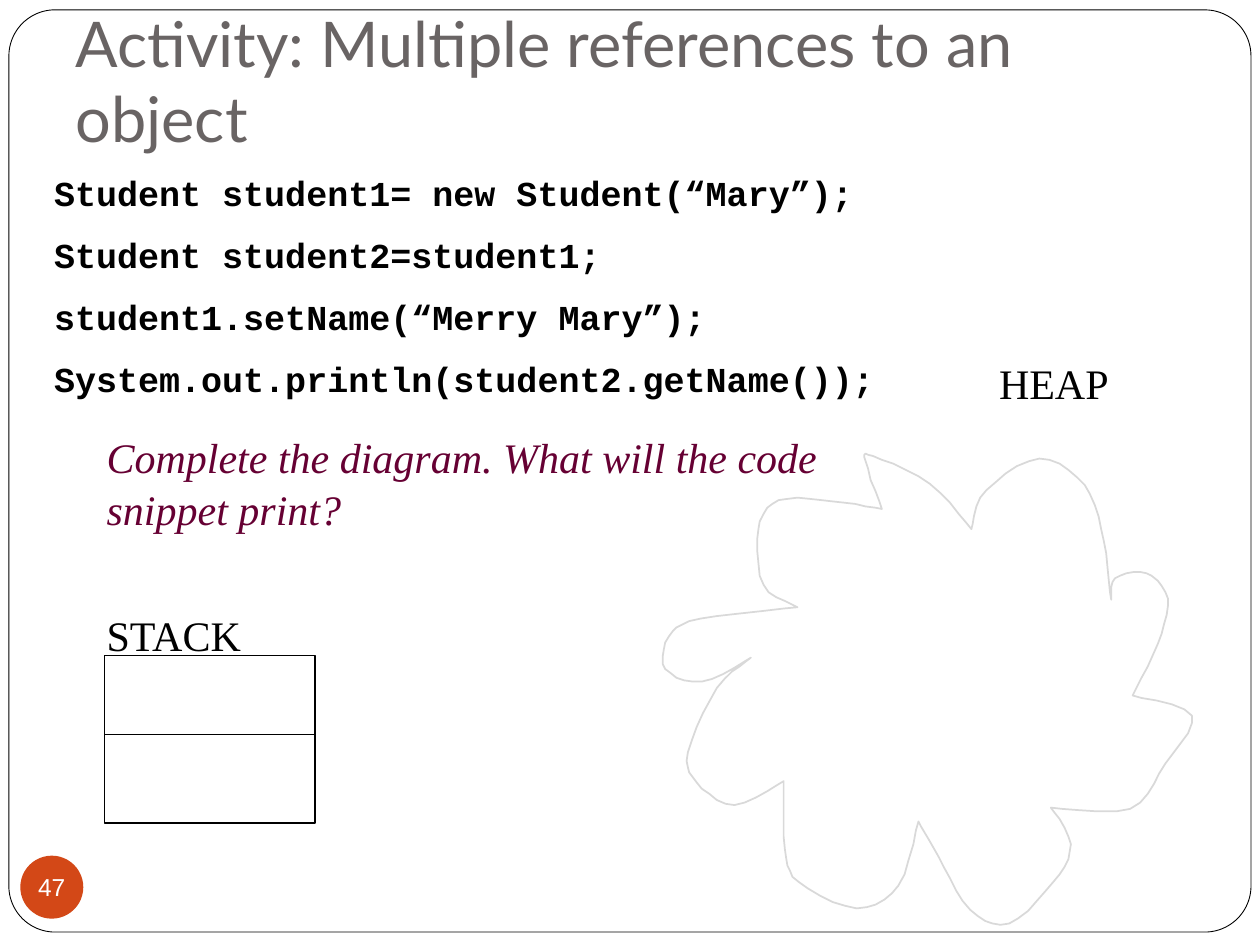
"""Build the slide on multiple references to one object, with its stack and heap diagram."""
from lxml import etree
from pptx import Presentation
from pptx import util as u
from pptx.dml.color import RGBColor
from pptx.enum import shapes, text
from pptx.oxml.ns import qn

BLACK = RGBColor(0x00, 0x00, 0x00)
WHITE = RGBColor(0xFF, 0xFF, 0xFF)
GREY = RGBColor(0x69, 0x64, 0x64)
PALE = RGBColor(0xD9, 0xD9, 0xD9)
ORANGE = RGBColor(0xD3, 0x48, 0x17)
PLUM = RGBColor(0x66, 0x00, 0x33)
SERIF = "Times New Roman"

TITLE = "Activity: Multiple references to an object"
CODE = [
    "Student student1= new Student(“Mary”);",
    "Student student2=student1;",
    "student1.setName(“Merry Mary”);",
    "System.out.println(student2.getName());",
]
PROMPT = "Complete the diagram. What will the code snippet print?"
LABELS = [("STACK", (1.9, 12.17, 3.3, 1.27)), ("HEAP", (19.89, 7.09, 2.74, 1.27))]
PAGE = "47"
STACK_BOX = (2.11, 13.21, 4.24, 3.38)
STACK_SPLIT = 14.81
HEAP_UNIT = 0.0254
HEAP_STEPS = 5
HEAP_PETALS = [
    [(596, 522), (569, 546), (546, 597), (553, 621), (583, 639)],
    [(622, 620), (623, 674), (634, 700), (680, 721), (713, 703)],
    [(729, 652), (745, 680), (770, 722), (801, 733), (836, 700), (850, 670)],
    [(834, 641), (897, 642), (925, 606), (946, 568)],
    [(899, 552), (919, 511), (927, 475), (910, 455), (885, 459)],
    [(882, 476), (876, 429), (861, 385), (825, 364), (783, 389)],
    [(771, 420), (738, 384), (693, 362), (687, 366)],
    [(700, 404), (661, 398), (618, 397), (602, 420), (606, 464)],
    [(633, 482), (556, 491), (531, 505), (528, 531), (557, 541)],
]


def cm(values):
    return [u.Cm(v) for v in values]


def spline(a, b, c, d, t):
    return (2 * b + (c - a) * t + (2 * a - 5 * b + 4 * c - d) * t ** 2
            + (3 * b - a - 3 * c + d) * t ** 3) / 2


def heap_points():
    points = []
    for petal, following in zip(HEAP_PETALS, HEAP_PETALS[1:] + HEAP_PETALS[:1]):
        tip = following[0]
        knots = [petal[0], *petal, tip, tip]
        for i in range(len(petal)):
            for step in range(HEAP_STEPS):
                t = step / HEAP_STEPS
                points.append(tuple(spline(*axis, t) for axis in zip(*knots[i:i + 4])))
    return points


def style(sp, fill=None, line=None, width=0.75):
    sp.shadow.inherit = False
    if fill is None:
        sp.fill.background()
    else:
        sp.fill.solid()
        sp.fill.fore_color.rgb = fill
    if line is None:
        sp.line.fill.background()
    else:
        sp.line.color.rgb = line
        sp.line.width = u.Pt(width)


def write(sp, lines, font, size, color, bold=False, italic=False, wrap=True):
    tf = sp.text_frame
    tf.text = "\n".join(lines)
    tf.word_wrap = wrap
    tf.auto_size = text.MSO_AUTO_SIZE.NONE
    for p in tf.paragraphs:
        for r in p.runs:
            f = r.font
            f.name, f.size, f.bold, f.italic = font, u.Pt(size), bold, italic
            f.color.rgb = color
    return tf


def add_text(s, at, *args, **kwargs):
    return write(s.shapes.add_textbox(*cm(at)), *args, **kwargs)


def add_title(s):
    sp = s.shapes.title
    sp.left, sp.top, sp.width, sp.height = cm((1.27, 0.2, 22.86, 3.18))
    tf = write(sp, [TITLE], "Lato", 36, GREY)
    tf.vertical_anchor = text.MSO_ANCHOR.BOTTOM
    tf.margin_bottom = u.Cm(0.25)
    tf.paragraphs[0].alignment = text.PP_ALIGN.LEFT


def add_badge(s):
    sp = s.shapes.add_shape(shapes.MSO_SHAPE.OVAL, *cm((0.41, 17.25, 1.27, 1.27)))
    style(sp, fill=ORANGE)
    tf = write(sp, [PAGE], "Arial", 14, WHITE, wrap=False)
    tf.margin_left = tf.margin_right = tf.margin_top = tf.margin_bottom = 0
    tf.vertical_anchor = text.MSO_ANCHOR.MIDDLE
    tf.paragraphs[0].alignment = text.PP_ALIGN.CENTER


def add_stack(s):
    left, _, width, _ = STACK_BOX
    style(s.shapes.add_shape(shapes.MSO_SHAPE.RECTANGLE, *cm(STACK_BOX)), line=BLACK)
    ends = cm((left, STACK_SPLIT, left + width, STACK_SPLIT))
    line = s.shapes.add_connector(shapes.MSO_CONNECTOR.STRAIGHT, *ends)
    line.line.color.rgb = BLACK
    line.line.width = u.Pt(0.75)
    etree.SubElement(line._element.spPr, qn("a:effectLst"))


def add_heap(s):
    start, *rest = heap_points()
    builder = s.shapes.build_freeform(*start, scale=u.Cm(HEAP_UNIT))
    builder.add_line_segments(rest, close=True)
    style(builder.convert_to_shape(), line=PALE, width=1)


def main():
    prs = Presentation()
    prs.slide_width, prs.slide_height = cm((25.4, 19.05))
    s = prs.slides.add_slide(prs.slide_layouts[5])

    add_title(s)
    frame = s.shapes.add_shape(
        shapes.MSO_SHAPE.ROUNDED_RECTANGLE, *cm((0.18, 0.2, 25.04, 18.59)))
    frame.adjustments[0] = 0.05
    style(frame, line=BLACK, width=0.5)
    add_badge(s)

    tf = add_text(s, (1.9, 8.46, 15.88, 1.47), [PROMPT], SERIF, 24, PLUM, italic=True)
    tf.margin_top = u.Cm(0.18)
    tf.paragraphs[0].line_spacing = 1.05

    tf = add_text(s, (0.84, 3.18, 21.79, 4.95), CODE, "Courier New", 20, BLACK, bold=True)
    tf.margin_top = u.Cm(0.28)
    for p in tf.paragraphs:
        p.space_after = u.Pt(11.3)

    add_stack(s)
    for label, at in LABELS:
        add_text(s, at, [label], SERIF, 24, BLACK, wrap=False)
    add_heap(s)
    prs.save("out.pptx")


if __name__ == "__main__":
    main()
